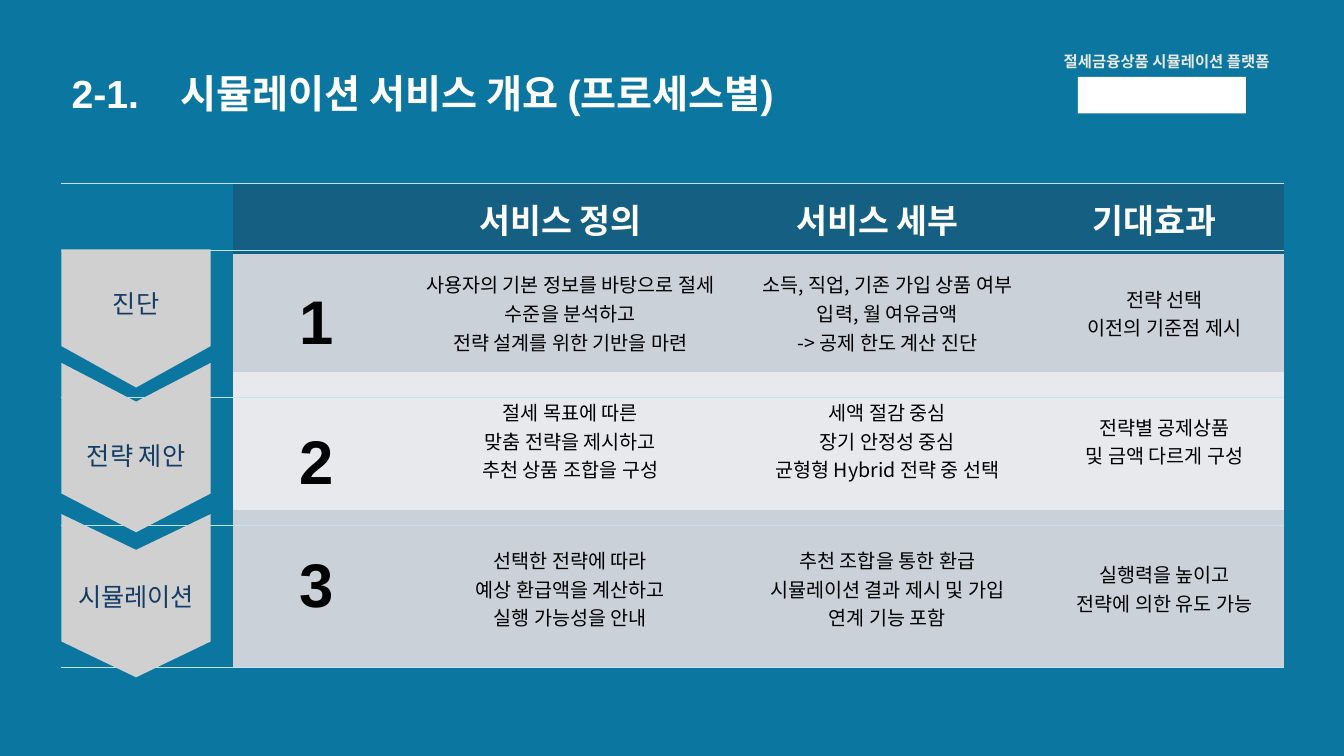
from dataclasses import dataclass
from lxml.etree import SubElement as Sub
from pptx import Presentation as Deck
from pptx.dml.color import RGBColor as Rgb
from pptx.enum.shapes import MSO_CONNECTOR as Link, MSO_SHAPE as Form
from pptx.enum.text import MSO_ANCHOR as Anchor, PP_ALIGN as Align
from pptx.oxml.ns import qn
from pptx.util import Pt


@dataclass(frozen=True)
class Theme:
    back: str = "0B769F"
    head: str = "156082"
    odd: str = "CAD1D8"
    even: str = "E7E9EC"
    rule: str = "C0E4F5"
    step: str = "D0D0D0"
    navy: str = "143C64"
    white: str = "FFFFFF"
    pale: str = "E8E8E8"
    black: str = "000000"
    sans: str = "Arial"
    hangul: str = "Noto Sans CJK KR"
    title: int = 28
    label: int = 24
    stage: int = 18
    body: int = 14
    tag: int = 11
    digit: int = 44


NO_GRID = "{2D5ABB26-0587-4C30-8999-92F81FD0307C}"


class Page:
    def __init__(self, deck, theme):
        self.theme = theme
        self.slide = deck.slides.add_slide(deck.slide_layouts[5])
        self.shapes = self.slide.shapes
        self.paint(self.slide.background.fill, theme.back)

    def paint(self, fill, color):
        fill.solid()
        fill.fore_color.rgb = Rgb.from_string(color)

    def style(self, frame, size, color, bold=False, face=None, align=Align.CENTER):
        for para in frame.paragraphs:
            para.alignment = align
            for run in para.runs:
                font = run.font
                font.size, font.bold = Pt(size), bold
                font.name = face or self.theme.sans
                font.color.rgb = Rgb.from_string(color)

    def title(self, text, box, stop):
        shape = self.shapes.title
        shape.left, shape.top, shape.width, shape.height = map(Pt, box)
        frame = shape.text_frame
        frame.text = text
        frame.vertical_anchor = Anchor.TOP
        tabs = Sub(frame.paragraphs[0]._p.get_or_add_pPr(), qn("a:tabLst"))
        Sub(tabs, qn("a:tab"), pos=str(Pt(stop)), algn="l")
        self.style(frame, self.theme.title, self.theme.white, True, align=Align.LEFT)

    def text(self, text, box, size, color, anchor=Anchor.TOP, **look):
        frame = self.shapes.add_textbox(*map(Pt, box)).text_frame
        frame.word_wrap = True
        frame.text = text
        frame.vertical_anchor = anchor
        self.style(frame, size, color, **look)

    def rule(self, left, right, y):
        line = self.shapes.add_connector(Link.STRAIGHT, Pt(left), Pt(y), Pt(right), Pt(y))
        line.line.color.rgb = Rgb.from_string(self.theme.rule)
        line.line.width = Pt(0.75)
        Sub(line._element.spPr, qn("a:effectLst"))

    def shape(self, form, box, color):
        shape = self.shapes.add_shape(form, *map(Pt, box))
        shape.shadow.inherit = False
        self.paint(shape.fill, color)
        shape.line.fill.background()
        return shape

    def arrow(self, form, left, top, width, height, bend):
        shift = (width - height) / 2
        box = left + shift, top - shift, height, width
        shape = self.shape(form, box, self.theme.step)
        shape.rotation = 90
        shape.adjustments[0] = bend

    def table(self, left, top, widths, heights, rows):
        theme = self.theme
        table = self.shapes.add_table(
            len(heights), len(widths), Pt(left), Pt(top),
            Pt(sum(widths)), Pt(sum(heights))).table
        table._tbl.tblPr.find(qn("a:tableStyleId")).text = NO_GRID
        table.first_row = table.horz_banding = False
        for col, width in zip(table.columns, widths):
            col.width = Pt(width)
        for i, (row, height) in enumerate(zip(table.rows, heights)):
            row.height = Pt(height)
            tone = theme.head if i == 0 else (theme.even, theme.odd)[i % 2]
            for cell in row.cells:
                self.paint(cell.fill, tone)
                cell.vertical_anchor = Anchor.MIDDLE
            for cell, text in zip(list(row.cells)[1:], rows[i]):
                frame = cell.text_frame
                frame.text = text
                if i == 0:
                    self.style(frame, theme.label, theme.white, True, theme.hangul)
                    continue
                self.style(frame, theme.body, theme.black, face=theme.hangul)
                for para in frame.paragraphs:
                    props = para._p.get_or_add_pPr()
                    props.set("marL", str(Pt(14.4)))
                    props.set("indent", "0")


ROWS = [
    ("서비스 정의", "서비스 세부", "기대효과"),
    ("사용자의 기본 정보를 바탕으로 절세 수준을 분석하고\n전략 설계를 위한 기반을 마련",
     "소득, 직업, 기존 가입 상품 여부 입력, 월 여유금액\n-> 공제 한도 계산 진단",
     "전략 선택\n이전의 기준점 제시"),
    ("절세 목표에 따른\n맞춤 전략을 제시하고\n추천 상품 조합을 구성",
     "세액 절감 중심\n장기 안정성 중심\n균형형 Hybrid 전략 중 선택",
     "전략별 공제상품\n및 금액 다르게 구성"),
    ("선택한 전략에 따라\n예상 환급액을 계산하고\n실행 가능성을 안내",
     "추천 조합을 통한 환급 시뮬레이션 결과 제시 및 가입 연계 기능 포함",
     "실행력을 높이고\n전략에 의한 유도 가능"),
]

STEPS = [
    ("진단", Form.PENTAGON, 178.2, 98.6, 0.3, 178.6, 75.6),
    ("전략 제안", Form.CHEVRON, 259.2, 121, 0.26, 291.6, 67),
    ("시뮬레이션", Form.CHEVRON, 367.2, 116.6, 0.24, 389.5, 72.7),
]


def main():
    deck = Deck()
    deck.slide_width, deck.slide_height = Pt(960), Pt(540)
    theme = Theme()
    page = Page(deck, theme)
    left, right, wide = 43.9, 917.3, 106.6

    page.title("2-1.\t시뮬레이션 서비스 개요 (프로세스별)", (left, 46.1, 621.4, 41), 78)
    page.shape(Form.RECTANGLE, (770, 55, 120, 26), theme.white)
    page.table(166.3, 131, (113, 241.9, 211, 185), (50.4, 84.2, 98.6, 112.3), ROWS)
    for num, top in enumerate((198.7, 298.8, 386.6), 1):
        page.text(str(num), (206.6, top, 39.6, 60.5), theme.digit, theme.black,
                  bold=True, align=Align.LEFT)
    for y in (131, 179, 283.7, 375.5, 477):
        page.rule(left, right, y)
    for name, form, top, tall, bend, text_top, text_tall in STEPS:
        page.arrow(form, left, top, wide, tall, bend)
        page.text(name, (left, text_top, wide, text_tall), theme.stage, theme.navy,
                  Anchor.MIDDLE)
    page.text("절세금융상품 시뮬레이션 플랫폼", (749.5, 33.8, 167.8, 20.9),
              theme.tag, theme.pale, bold=True)
    deck.save("out.pptx")


if __name__ == "__main__":
    main()
